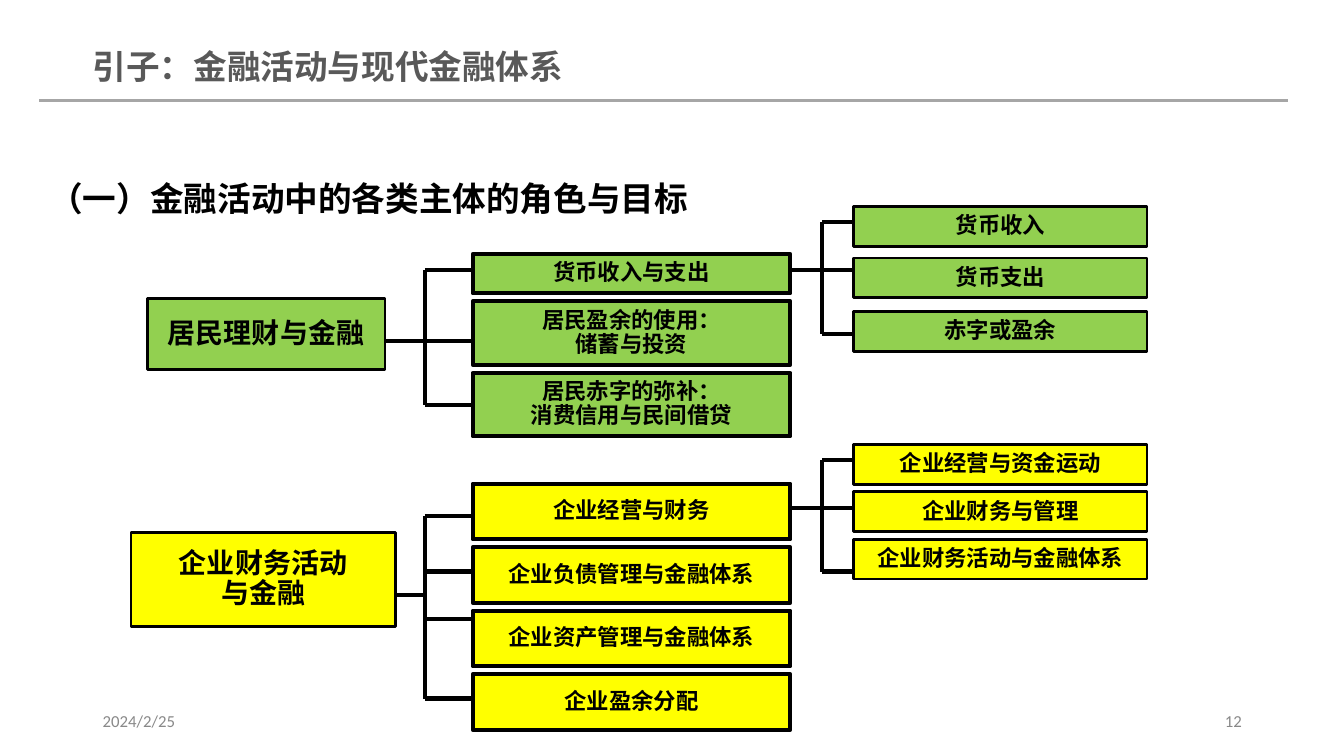
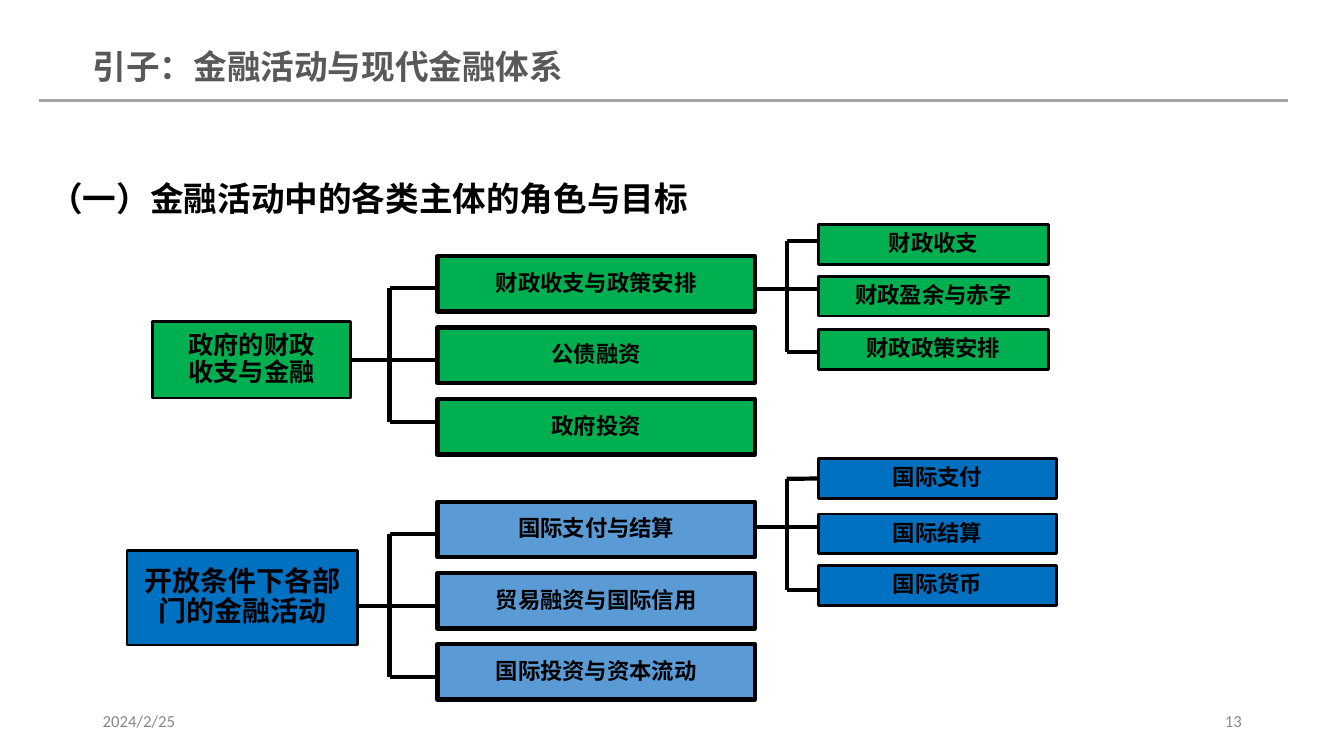
from pptx import Presentation
from pptx.dml.color import RGBColor
from pptx.enum import shapes, text
from pptx.oxml.ns import qn
from pptx.util import Inches, Pt
from lxml import etree

# Shared style; lengths are counted in grid cells, 133.33 columns by 75 rows
CELL = Inches(0.1)
COLUMNS, ROWS = 133.33, 75
rgb = RGBColor.from_string
BLACK, TITLE_GREY, RULE_GREY, FOOTER_GREY = "000000", "595959", "A6A6A6", "898989"
HAN, LATIN = "Noto Sans CJK SC", "Calibri"
LEFT, CENTER, RIGHT = text.PP_ALIGN.LEFT, text.PP_ALIGN.CENTER, text.PP_ALIGN.RIGHT
TOP, MIDDLE = text.MSO_ANCHOR.TOP, text.MSO_ANCHOR.MIDDLE

TITLE = "引子：金融活动与现代金融体系"
HEADING = "（一）金融活动中的各类主体的角色与目标"
DATE = "2024/2/25"
FIRST_NUMBER = 12

# Tree proportions, measured from the left of the topic column
TOPIC_WIDTH, LEAF_HEIGHT = 31.5, 3.95
TOPIC_SPINE, LEAF_SPINE, LEAF_COLUMN = -4.75, 34.65, 37.8
LEAF_BRANCHES = (0, 4.75, 11.05)

# Each slide: left of the topic column, then its two trees
SLIDES = [
    (46.9, [
        dict(root="居民理财与金融", root_box=(14.6, 29.6, 23.6, 7.1), root_size=20,
             fills=("92D050", "92D050", "92D050"), stem=33.8,
             topics=["货币收入与支出", "居民盈余的使用：\n储蓄与投资",
                     "居民赤字的弥补：\n消费信用与民间借贷"],
             topic_top=25.2, heights=(3.9, 6.3, 6.3), gap=0.8,
             branches=(26.8, 33.8, 40.15),
             leaves=["货币收入", "货币支出", "赤字或盈余"],
             leaf_tops=(20.5, 25.6, 30.9), leaf_width=29.1, leaf_branch=22.05),
        dict(root="企业财务活动\n与金融", root_box=(13, 52.8, 26.2, 9.4), root_size=20,
             fills=("FFFF00", "FFFF00", "FFFF00"), stem=59,
             topics=["企业经营与财务", "企业负债管理与金融体系",
                     "企业资产管理与金融体系", "企业盈余分配"],
             topic_top=48, heights=(5.5,) * 4, gap=0.8,
             branches=(51.2, 56.7, 61.4, 69.3),
             leaves=["企业经营与资金运动", "企业财务与管理", "企业财务活动与金融体系"],
             leaf_tops=(44.1, 48.8, 53.5), leaf_width=29.1, leaf_branch=45.65),
    ]),
    (43.4, [
        dict(root="政府的财政\n收支与金融", root_box=(15.1, 31.9, 19.7, 7.6), root_size=18,
             fills=("00B050", "00B050", "00B050"), stem=35.7,
             topics=["财政收支与政策安排", "公债融资", "政府投资"],
             topic_top=25.4, heights=(5.5,) * 3, gap=1.6,
             branches=(28.6, 35.7, 41.9),
             leaves=["财政收支", "财政盈余与赤字", "财政政策安排"],
             leaf_tops=(22.3, 27.4, 32.7), leaf_width=22.8, leaf_branch=23.9),
        dict(root="开放条件下各部\n门的金融活动", root_box=(12.6, 54.6, 22.9, 9.4), root_size=20,
             fills=("0070C0", "5B9BD5", "0070C0"), stem=60.1,
             topics=["国际支付与结算", "贸易融资与国际信用", "国际投资与资本流动"],
             topic_top=49.8, heights=(5.5,) * 3, gap=1.55,
             branches=(53, 60.1, 67.2),
             leaves=["国际支付", "国际结算", "国际货币"],
             leaf_tops=(45.5, 51, 56.1), leaf_width=23.6, leaf_branch=47.5),
    ]),
]


def write(shape, box, content, size, color=BLACK, font=HAN, bold=True, align=LEFT,
          spacing=1.0, anchor=TOP, wrap=False, inset=(1, 0.5)):
    """Place a shape on the grid and set its text."""
    for side, cells in zip(("left", "top", "width", "height"), box):
        setattr(shape, side, int(cells * CELL))
    frame = shape.text_frame
    across, down = (int(cells * CELL) for cells in inset)
    frame_format = dict(auto_size=text.MSO_AUTO_SIZE.NONE, word_wrap=wrap,
                        vertical_anchor=anchor, margin_left=across,
                        margin_right=across, margin_top=down, margin_bottom=down)
    for name, value in frame_format.items():
        setattr(frame, name, value)
    frame.text = content
    for paragraph in frame.paragraphs:
        paragraph_format = dict(alignment=align, line_spacing=spacing, space_before=Pt(0))
        for name, value in paragraph_format.items():
            setattr(paragraph, name, value)
        for run in paragraph.runs:
            for name, value in dict(size=Pt(size), bold=bold, name=font).items():
                setattr(run.font, name, value)
            run.font.color.rgb = rgb(color)
            east_asian = etree.Element(qn("a:ea"), typeface=font)
            run.font._element.find(qn("a:latin")).addnext(east_asian)
    return shape


def draw(slide, start, end, color=BLACK, width=3, source=None, target=None):
    """Draw a line and join it to boxes whose side it meets in the middle."""
    points = [int(cells * CELL) for cells in (*start, *end)]
    line = slide.shapes.add_connector(shapes.MSO_CONNECTOR.STRAIGHT, *points)
    line.line.color.rgb = rgb(color)
    line.line.width = Pt(width)
    etree.SubElement(line._element.spPr, qn("a:effectLst"))
    for box, y, join, side in ((source, start[1], line.begin_connect, 3),
                               (target, end[1], line.end_connect, 1)):
        if box is not None and abs(box.top + box.height / 2 - y * CELL) < 0.1 * CELL:
            join(box, side)


prs = Presentation()
prs.slide_width, prs.slide_height = int(COLUMNS * CELL), int(ROWS * CELL)
prs.element.set("firstSlideNum", str(FIRST_NUMBER))

for number, (column, trees) in enumerate(SLIDES, FIRST_NUMBER):
    slide = prs.slides.add_slide(prs.slide_layouts[1])

    # Title, rule and heading
    title, heading = slide.placeholders
    write(title, (8.2, 4.1, 66.7, 5.1), TITLE, 24, TITLE_GREY, wrap=True)
    draw(slide, (3.9, 10), (127.8, 10), RULE_GREY, 2.25)
    write(heading, (3.9, 16.8, 66, 5.5), HEADING, 24, spacing=1.1)
    properties = heading.text_frame.paragraphs[0]._p.get_or_add_pPr()
    properties.set("marL", "0")
    properties.set("indent", "0")
    etree.SubElement(properties, qn("a:buNone"))

    for tree in trees:
        # Boxes: root, stacked topics, leaves
        root_fill, topic_fill, leaf_fill = tree["fills"]
        plan = [(tree["root"], tree["root_box"], tree["root_size"], root_fill, 2, (1, 0.5))]
        top = tree["topic_top"]
        for topic, height in zip(tree["topics"], tree["heights"]):
            plan.append((topic, (column, top, TOPIC_WIDTH, height), 16, topic_fill, 3, (0, 0)))
            top += height + tree["gap"]
        for leaf, top in zip(tree["leaves"], tree["leaf_tops"]):
            place = (column + LEAF_COLUMN, top, tree["leaf_width"], LEAF_HEIGHT)
            plan.append((leaf, place, 16, leaf_fill, 2, (1, 0.5)))

        boxes = []
        for content, place, size, fill, border, inset in plan:
            box = slide.shapes.add_shape(shapes.MSO_SHAPE.RECTANGLE, 0, 0, CELL, CELL)
            box.shadow.inherit = False
            box.fill.solid()
            box.fill.fore_color.rgb = rgb(fill)
            box.line.color.rgb = rgb(BLACK)
            box.line.width = Pt(border)
            boxes.append(write(box, place, content, size, align=CENTER, spacing=0.9,
                               anchor=MIDDLE, inset=inset))
        root, topics, leaves = boxes[0], boxes[1:-3], boxes[-3:]

        # Brackets: root to topics, first topic to leaves
        root_left, _, root_width, _ = tree["root_box"]
        leaf_branches = [tree["leaf_branch"] + step for step in LEAF_BRANCHES]
        brackets = [
            (root, root_left + root_width, column + TOPIC_SPINE, column,
             tree["stem"], tree["branches"], topics),
            (topics[0], column + TOPIC_WIDTH, column + LEAF_SPINE, column + LEAF_COLUMN,
             leaf_branches[1], leaf_branches, leaves),
        ]
        for source, left, spine, right, stem, branches, targets in brackets:
            draw(slide, (left, stem), (spine, stem), source=source)
            draw(slide, (spine, branches[0]), (spine, branches[-1]))
            for y, target in zip(branches, targets):
                draw(slide, (spine, y), (right, y), target=target)

    # Footer: date and slide number
    for left, content, align in ((9.2, DATE, LEFT), (94.2, str(number), RIGHT)):
        footer = write(slide.shapes.add_textbox(0, 0, CELL, CELL), (left, 69.5, 30, 4),
                       content, 12, FOOTER_GREY, LATIN, False, align, anchor=MIDDLE, wrap=True)
    field = footer.text_frame.paragraphs[0].runs[0]._r
    field.tag = qn("a:fld")
    field.set("id", "{B6F15528-21DE-4FAA-801E-634DDDAF4B2B}")
    field.set("type", "slidenum")

prs.save("out.pptx")
